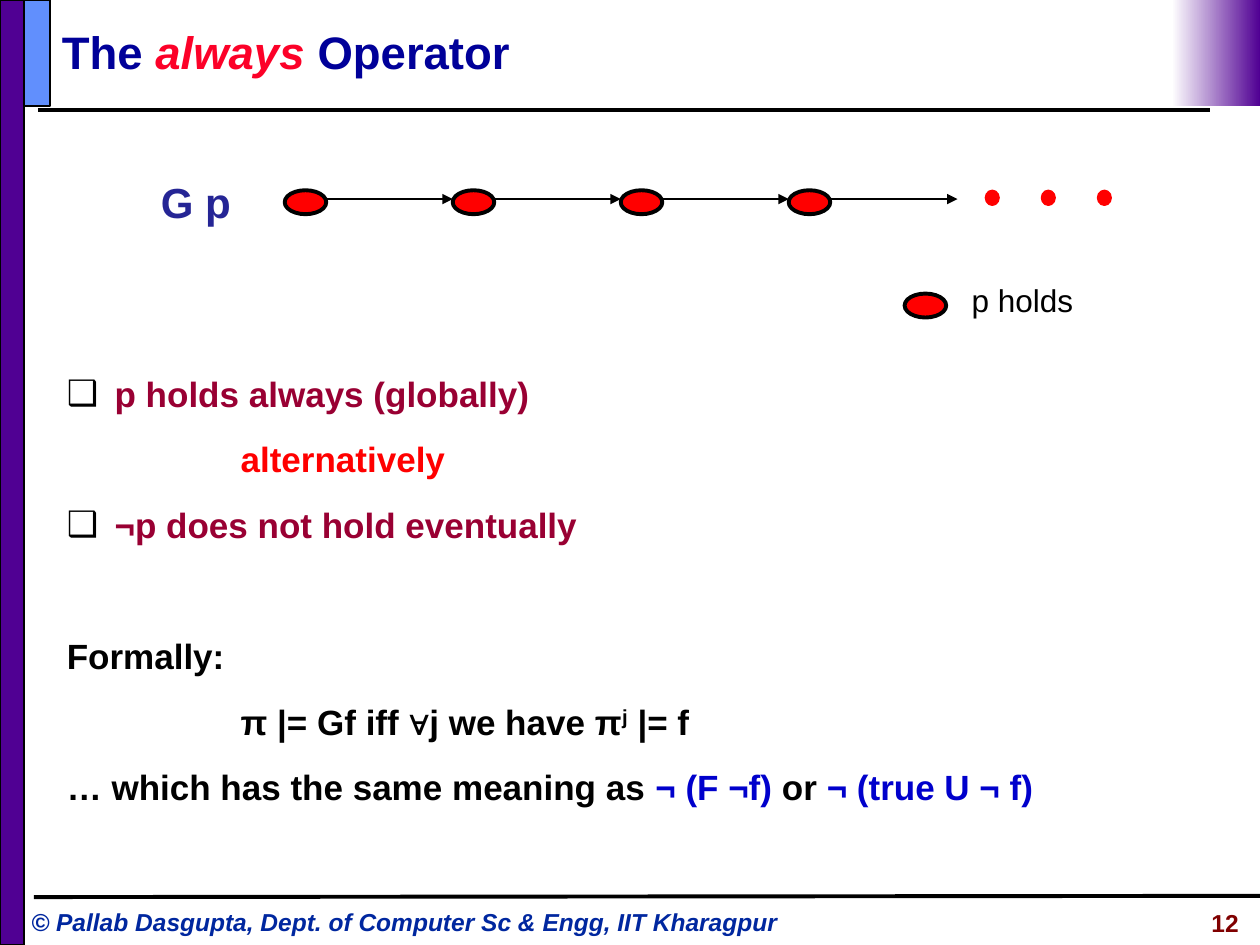
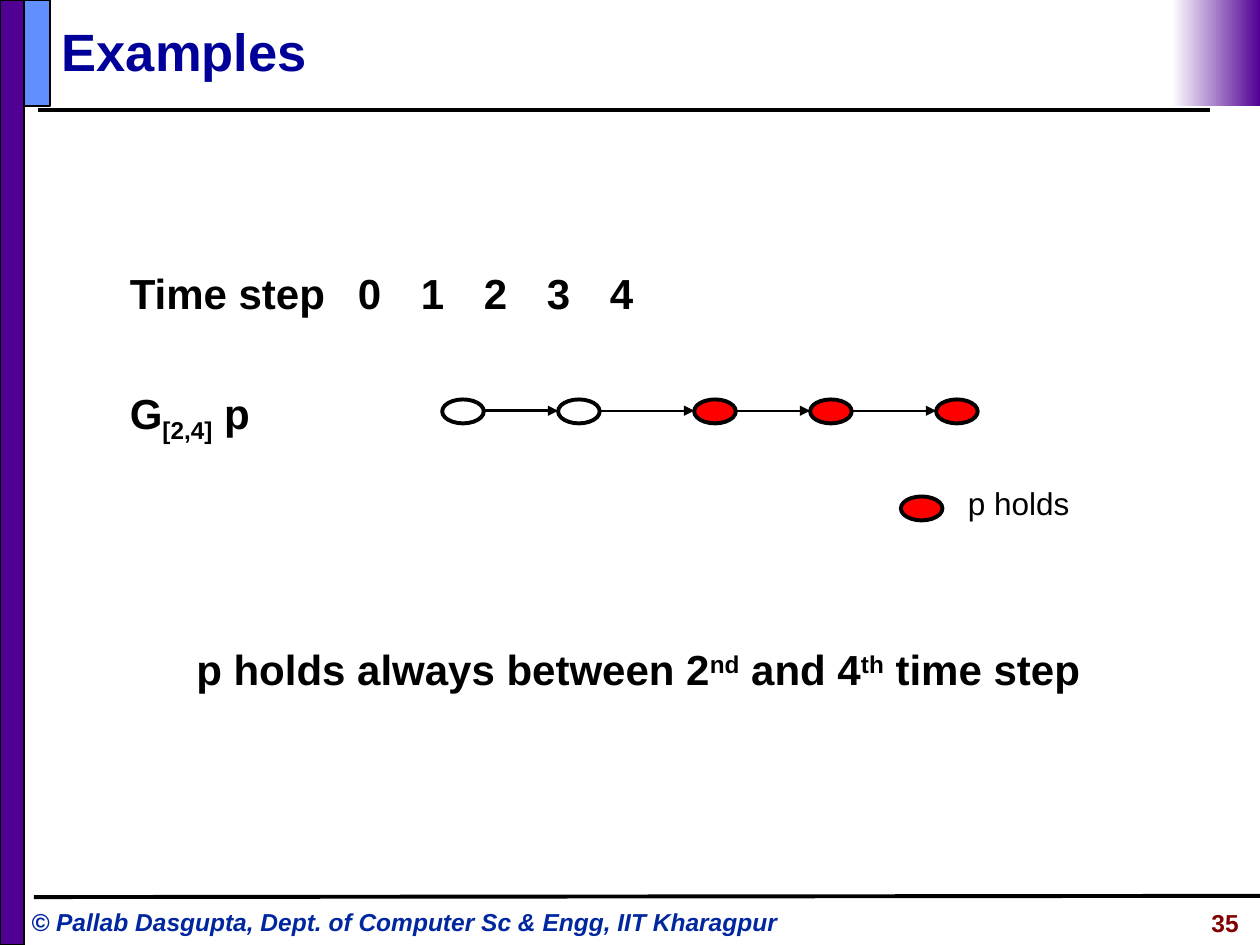
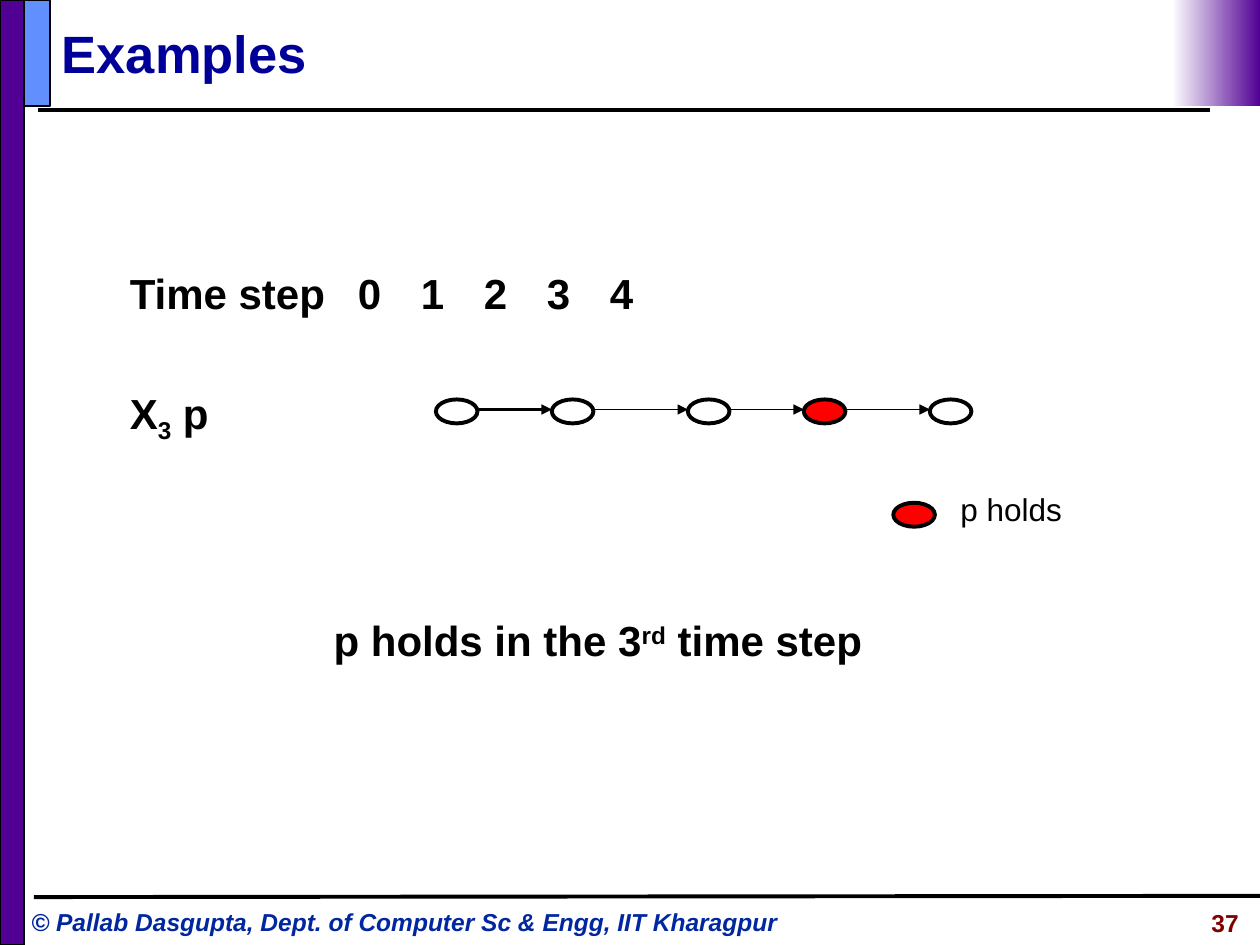
from lxml import etree
from pptx import Presentation
from pptx.dml.color import RGBColor
from pptx.enum.shapes import MSO_CONNECTOR, MSO_SHAPE
from pptx.enum.text import MSO_ANCHOR, MSO_AUTO_SIZE, PP_ALIGN
from pptx.oxml.ns import qn
from pptx.util import Inches, Pt

RECT, OVAL = MSO_SHAPE.RECTANGLE, MSO_SHAPE.OVAL
LINE = MSO_CONNECTOR.STRAIGHT
LEFT, MID, RIGHT = PP_ALIGN.LEFT, PP_ALIGN.CENTER, PP_ALIGN.RIGHT
FIXED = MSO_AUTO_SIZE.NONE
CENTRE = MSO_ANCHOR.MIDDLE
TOP = MSO_ANCHOR.TOP
FONT = "Arial"
HUES = {
    "black": "000000", "white": "FFFFFF", "red": "FF0000",
    "rose": "FC0128", "wine": "990033", "maroon": "800000",
    "purple": "500093", "sky": "618FFD", "navy": "000099",
    "blue": "0000CC", "indigo": "252595", "credit": "00279F",
}
RGB = {name: RGBColor.from_string(code) for name, code in HUES.items()}
BASE = {"sup": "30000", "sub": "-25000"}


def write(para, size, runs, bold=True):
    for text, hue, style in runs:
        run = para.add_run()
        run.text = text
        font = run.font
        font.name, font.size, font.bold = FONT, Pt(size), bold
        font.italic = style == "ital"
        font.color.rgb = RGB[hue]
        if style in BASE:
            run._r.get_or_add_rPr().set("baseline", BASE[style])


def draw(slide, kind, box, fill, edge=None, width=1):
    shape = slide.shapes.add_shape(kind, *map(Inches, box))
    shape.shadow.inherit = False
    shape.fill.solid()
    shape.fill.fore_color.rgb = RGB[fill]
    if edge:
        shape.line.color.rgb = RGB[edge]
        shape.line.width = Pt(width)
    else:
        shape.line.fill.background()
    return shape


FORMAL = [
    ("p holds always (globally)", "wine", ""),
]
STEPS = [("Time step\t0\t1\t2\t3\t4", "black", "")]
GAPS = [0, 0.92, 2, 2.92, 3.92]

# fields of a list row: left, hanging, space before, bullet, runs
LIST = [
    (0.38, -0.38, 7.5, True, FORMAL),
    (1.38, 0, 7.5, False, [("alternatively", "red", "")]),
    (0.38, -0.38, 7.5, True, [("¬p does not hold eventually", "wine", "")]),
    (0.38, -0.38, 45, False, [("Formally:", "black", "")]),
    (1.38, 0, 7.5, False, [
        ("π |= Gf iff ∀j we have π", "black", ""),
        ("j", "black", "sup"), (" |= f", "black", "")]),
    (0.38, -0.38, 7.5, False, [
        ("… which has the same meaning as ", "black", ""),
        ("¬ (F ¬f) ", "blue", ""), ("or ", "black", ""),
        ("¬ (true U ¬ f)", "blue", "")]),
]
SLIDES = [
    {"page": "12", "title": [("The ", "navy", ""), ("always ", "rose", "ital"),
                             ("Operator", "navy", "")],
     "size": 26, "top": 0.1, "body": (0.43, 2.82, 9.16, 3.87), "inset": 0.05,
     "text": 20, "space": 1.25, "rows": LIST,
     "nodes": [2.26 + i * 4 / 3 for i in range(4)], "level": 1.51,
     "fills": ["red"] * 4, "wire": 1.58, "end": 7.6, "thin": 1.5,
     "key": (7.18, 2.33),
     "note": ((1.1, 1.35, 0.91, 0.5), MID, [("G p", "indigo", "")])},
    {"page": "35", "title": [("Examples", "navy", "")],
     "size": 30, "top": 0.1, "body": (0.43, 0.92, 9.16, 6.4), "inset": 1.16,
     "text": 24, "space": 1.1,
     "rows": [(0.81, -0.31, 0, False, STEPS),
              (0.81, -0.31, 36.5, False, [
                  ("G", "black", ""), ("[2,4]", "black", "sub"),
                  (" p", "black", "")])],
     "nodes": [3.51 + gap for gap in GAPS], "level": 3.17,
     "fills": ["white"] * 2 + ["red"] * 3, "wire": 3.26, "end": None, "thin": 1,
     "key": (7.15, 3.94),
     "note": ((1.46, 5.06, 7.22, 0.5), LEFT, [
         ("p holds always between 2", "black", ""), ("nd", "black", "sup"),
         (" and 4", "black", ""), ("th", "black", "sup"),
         (" time step", "black", "")])},
    {"page": "37", "title": [("Examples", "navy", "")],
     "size": 30, "top": 0.11, "body": (0.43, 0.92, 9.16, 6.4), "inset": 1.16,
     "text": 24, "space": 1.1,
     "rows": [(0.81, -0.31, 0, False, STEPS),
              (0.81, -0.31, 36.5, False, [
                  ("X", "black", ""), ("3", "black", "sub"),
                  (" p", "black", "")])],
     "nodes": [3.46 + gap for gap in GAPS], "level": 3.17,
     "fills": ["white"] * 3 + ["red", "white"], "wire": 3.25, "end": None,
     "thin": 1, "key": (7.09, 3.99),
     "note": ((2.55, 4.83, 4.4, 0.5), LEFT, [
         ("p holds in the 3", "black", ""), ("rd", "black", "sup"),
         (" time step", "black", "")])},
]
CREDIT = "© Pallab Dasgupta, Dept. of Computer Sc & Engg, IIT Kharagpur"

deck = Presentation()
deck.slide_width, deck.slide_height = Inches(10), Inches(7.5)

for data in SLIDES:
    slide = deck.slides.add_slide(deck.slide_layouts[1])
    title, body = slide.placeholders
    for holder, box, inset, anchor in (
        (title, (0.39, data["top"], 9.1, 0.61), 0.05, CENTRE),
        (body, data["body"], data["inset"], TOP),
    ):
        holder.left, holder.top, holder.width, holder.height = map(Inches, box)
        frame = holder.text_frame
        frame.auto_size, frame.word_wrap = FIXED, True
        frame.vertical_anchor = anchor
        frame.margin_top = Inches(inset)
    head = title.text_frame.paragraphs[0]
    head.alignment = LEFT
    write(head, data["size"], data["title"])

    frame = body.text_frame
    for i, (left, hang, before, mark, runs) in enumerate(data["rows"]):
        para = frame.add_paragraph() if i else frame.paragraphs[0]
        para.alignment = LEFT
        para.line_spacing, para.space_before = data["space"], Pt(before)
        props = para._p.get_or_add_pPr()
        props.set("marL", str(Inches(left)))
        props.set("indent", str(Inches(hang)))
        if mark:
            tint = etree.SubElement(props, qn("a:buClr"))
            etree.SubElement(tint, qn("a:srgbClr"), val=HUES["black"])
            etree.SubElement(props, qn("a:buChar"), char="❑")
        else:
            etree.SubElement(props, qn("a:buNone"))
        if runs is STEPS:
            tabs = etree.SubElement(props, qn("a:tabLst"))
            for stop in range(2, 7):
                etree.SubElement(tabs, qn("a:tab"), pos=str(Inches(stop)), algn="l")
        write(para, data["text"], runs)

    draw(slide, RECT, (0, 0, 0.19, 7.5), "purple", "black")
    draw(slide, RECT, (0.19, 0, 0.21, 0.84), "sky", "black")
    fade = draw(slide, RECT, (9.3, 0, 0.7, 0.84), "white").fill
    fade.gradient()
    fade.gradient_angle = 180
    for stop, hue in zip(fade.gradient_stops, ("purple", "white")):
        stop.color.rgb = RGB[hue]

    nodes = data["nodes"]
    for x, fill in zip(nodes, data["fills"]):
        draw(slide, OVAL, (x, data["level"], 0.33, 0.19), fill, "black", 2.25)
    ends = nodes[1:] + ([data["end"]] if data["end"] else [])
    wire = data["wire"]
    lines = [(0.3, 0.87, 9.6, 0.87, 2.25, False), (0.27, 7.12, 10, 7.11, 2.25, False)]
    for i, (x, end) in enumerate(zip(nodes, ends)):
        lines.append((x + 0.33, wire, end, wire, data["thin"] if i else 1.5, True))
    for *ends, width, tip in lines:
        link = slide.shapes.add_connector(LINE, *map(Inches, ends))
        link.line.color.rgb = RGB["black"]
        link.line.width = Pt(width)
        etree.SubElement(link._element.spPr, qn("a:effectLst"))
        if tip:
            etree.SubElement(link.line._get_or_add_ln(), qn("a:tailEnd"), type="triangle")
    if data["end"]:
        for i in range(3):
            draw(slide, OVAL, (7.82 + i * 0.445, 1.51, 0.11, 0.12), "red", "red", 0.75)

    x, y = data["key"]
    draw(slide, OVAL, (x, y, 0.33, 0.19), "red", "black", 2.25)
    box, align, runs = data["note"]
    for box, align, size, bold, before, runs in (
        (box, align, 24, True, 6, runs),
        ((x + 0.42, y - 0.15, 1.03, 0.4), MID, 18, False, 4.5, [("p holds", "black", "")]),
        ((0.15, 7.15, 6.37, 0.34), LEFT, 14, True, 0, [(CREDIT, "credit", "ital")]),
        ((8.18, 7.16, 1.75, 0.35), RIGHT, 14, True, 0, [(data["page"], "maroon", "")]),
    ):
        frame = slide.shapes.add_textbox(*map(Inches, box)).text_frame
        frame.word_wrap = not (size == 24 and align == LEFT)
        para = frame.paragraphs[0]
        para.alignment, para.space_before = align, Pt(before)
        write(para, size, runs, bold)

deck.save("out.pptx")
